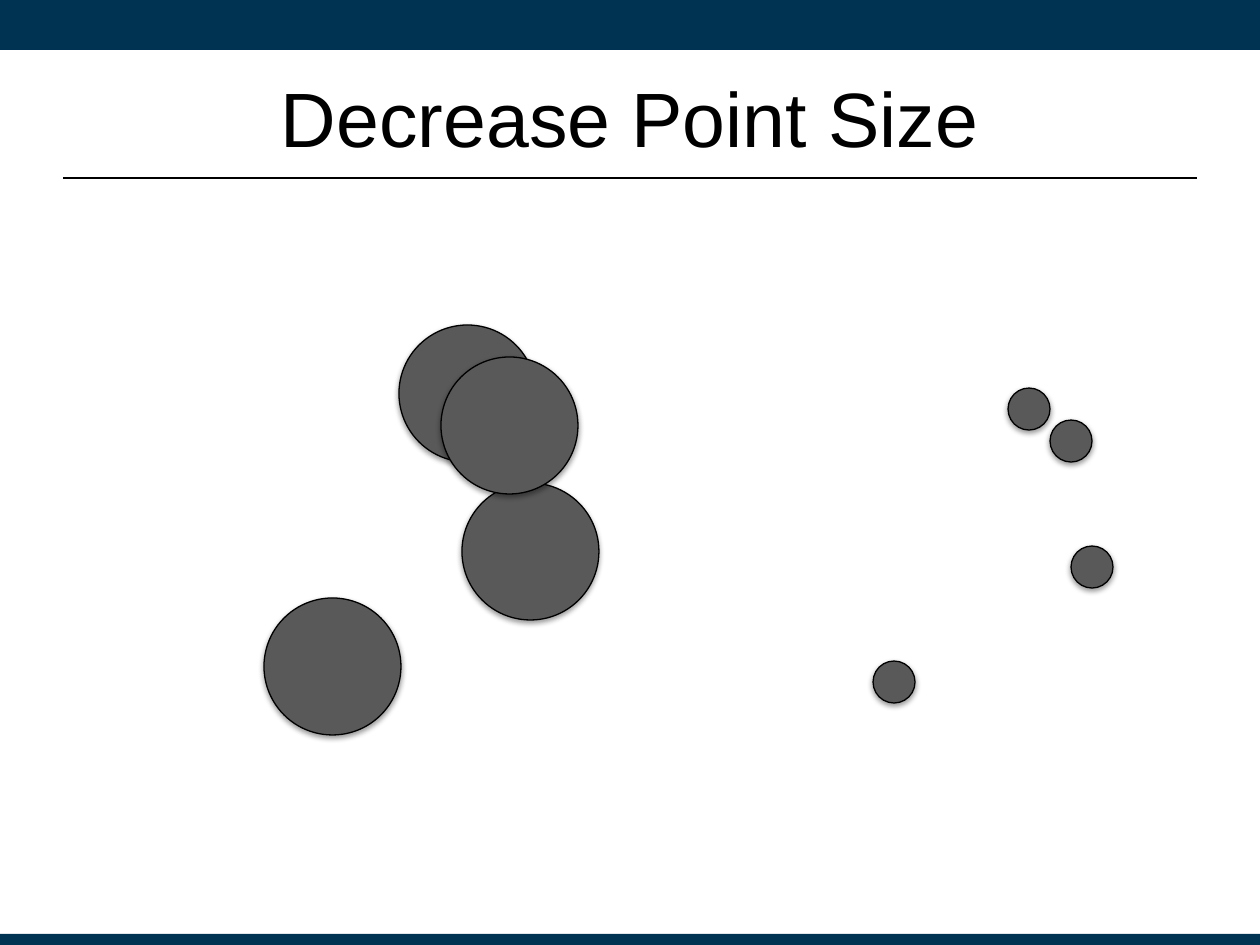
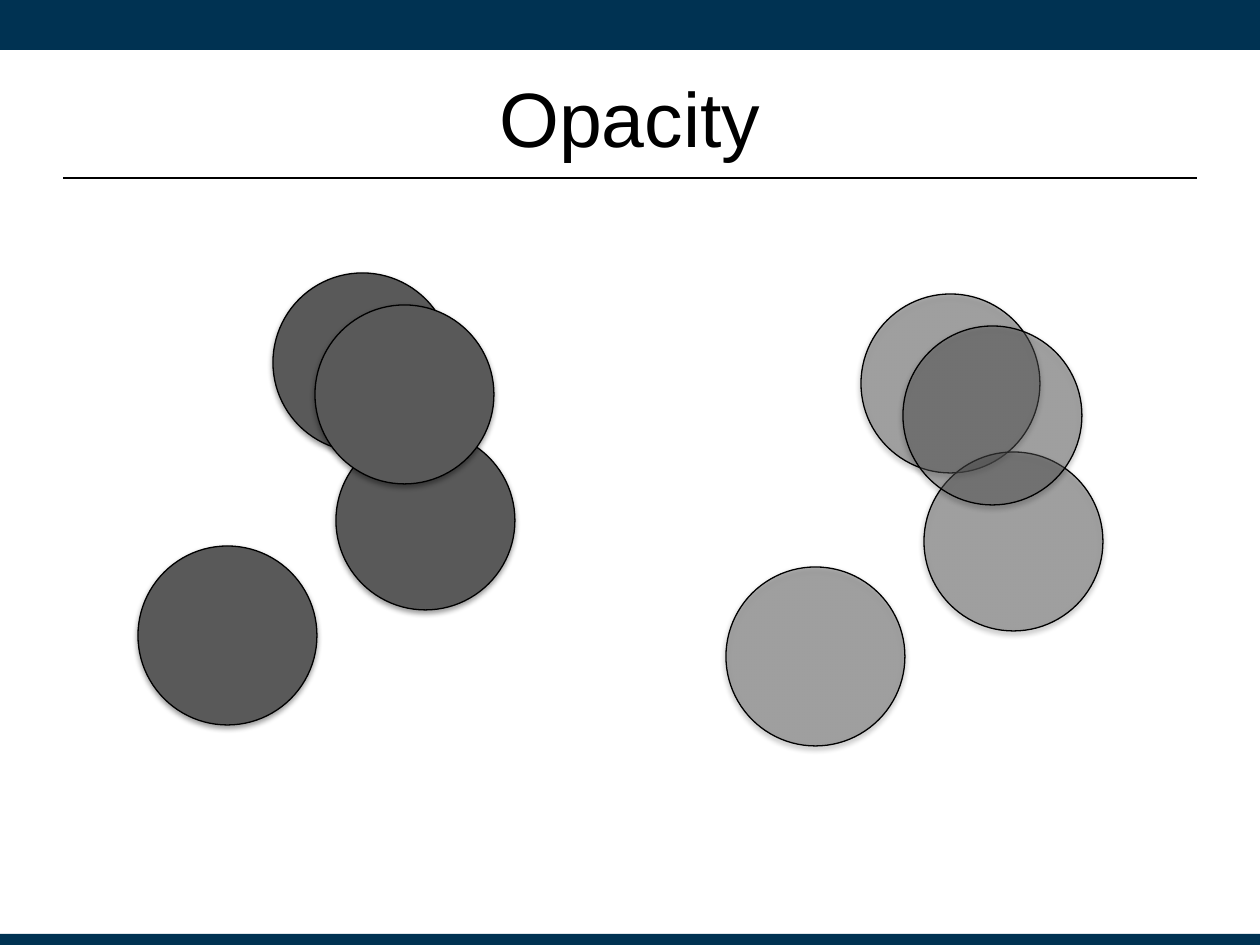
from dataclasses import dataclass
from typing import NamedTuple

from lxml import etree
from pptx import Presentation
from pptx import util as u
from pptx.dml.color import RGBColor
from pptx.enum import shapes, text
from pptx.oxml import ns

PX = 914400 / 126  # EMU in one px
SLIDE_W, SLIDE_H = 1260, 945
TITLE_ONLY = 5


@dataclass(frozen=True)
class Theme:
    band: RGBColor = RGBColor(0x00, 0x32, 0x52)
    point: RGBColor = RGBColor(0x59, 0x59, 0x59)
    ink: RGBColor = RGBColor(0x00, 0x00, 0x00)
    font: str = "Arial"
    title_size: int = 44
    outline: float = 0.75
    rule: float = 1.25
    shadow_opacity: int = 38
    shadow_blur: float = 3.1
    shadow_distance: float = 1.6


class Box(NamedTuple):
    left: int
    top: int
    width: int
    height: int


class Cluster(NamedTuple):
    left: int
    top: int
    diameter: int
    opacity: int = 100


class PointSlide(NamedTuple):
    title: str
    clusters: list[Cluster]


THEME = Theme()
BANDS = [Box(0, 0, SLIDE_W, 50), Box(0, 934, SLIDE_W, 11)]
TITLE = Box(63, 38, 1134, 157)
RULE_Y = 178
# Offsets of a cluster's points from its first point, back to front
POINT_OFFSETS = [(0, 0), (-135, 273), (63, 158), (42, 32)]

SLIDES = [
    PointSlide("Decrease Point Size", [Cluster(399, 325, 137), Cluster(1008, 388, 42)]),
    PointSlide("Opacity", [Cluster(861, 294, 179, opacity=43), Cluster(273, 273, 179)]),
]


def emu(px: int) -> u.Emu:
    return u.Emu(round(px * PX))


def add_filled(s, kind, box: Box, color: RGBColor):
    sp = s.shapes.add_shape(kind, *map(emu, box))
    sp.shadow.inherit = False
    sp.fill.solid()
    sp.fill.fore_color.rgb = color
    return sp


def add_alpha(color_element, percent: int) -> None:
    etree.SubElement(color_element, ns.qn("a:alpha"), val=str(percent * 1000))


def add_shadow(sp) -> None:
    """Drop a soft shadow straight down."""
    effects = sp.element.spPr.find(ns.qn("a:effectLst"))
    shadow = etree.SubElement(
        effects, ns.qn("a:outerShdw"),
        blurRad=str(u.Pt(THEME.shadow_blur)), dist=str(u.Pt(THEME.shadow_distance)),
        dir=str(90 * 60000), rotWithShape="0")
    color = etree.SubElement(shadow, ns.qn("a:srgbClr"), val=str(THEME.ink))
    add_alpha(color, THEME.shadow_opacity)


def add_cluster(s, cluster: Cluster) -> None:
    for dx, dy in POINT_OFFSETS:
        box = Box(cluster.left + dx, cluster.top + dy, cluster.diameter, cluster.diameter)
        sp = add_filled(s, shapes.MSO_SHAPE.OVAL, box, THEME.point)
        if cluster.opacity < 100:
            add_alpha(sp.element.spPr.find(".//" + ns.qn("a:srgbClr")), cluster.opacity)
        sp.line.color.rgb = THEME.ink
        sp.line.width = u.Pt(THEME.outline)
        add_shadow(sp)


def set_title(s, title: str) -> None:
    sp = s.shapes.title
    sp.left, sp.top, sp.width, sp.height = map(emu, TITLE)
    tf = sp.text_frame
    tf.text = title
    tf.vertical_anchor = text.MSO_ANCHOR.MIDDLE
    p = tf.paragraphs[0]
    p.alignment = text.PP_ALIGN.CENTER
    font = p.runs[0].font
    font.name, font.size = THEME.font, u.Pt(THEME.title_size)
    font.color.rgb = THEME.ink


def add_title_rule(s) -> None:
    line = s.shapes.add_connector(
        shapes.MSO_CONNECTOR.STRAIGHT, emu(TITLE.left), emu(RULE_Y),
        emu(TITLE.left + TITLE.width), emu(RULE_Y))
    line.line.color.rgb = THEME.ink
    line.line.width = u.Pt(THEME.rule)
    etree.SubElement(line.element.spPr, ns.qn("a:effectLst"))


def move_bands_to_master(prs, s) -> None:
    """Draw the bands on a slide, then move them behind the master's placeholders."""
    tree = prs.slide_master.shapes.element
    for i, box in enumerate(BANDS):
        sp = add_filled(s, shapes.MSO_SHAPE.RECTANGLE, box, THEME.band)
        sp.line.fill.background()
        sp.element.nvSpPr.cNvPr.set("id", str(100 + i))
        tree.insert(2 + i, sp.element)


def main() -> None:
    prs = Presentation()
    prs.slide_width, prs.slide_height = emu(SLIDE_W), emu(SLIDE_H)
    for i, content in enumerate(SLIDES):
        s = prs.slides.add_slide(prs.slide_layouts[TITLE_ONLY])
        if i == 0:
            move_bands_to_master(prs, s)
        set_title(s, content.title)
        for cluster in content.clusters:
            add_cluster(s, cluster)
        add_title_rule(s)
    prs.save("out.pptx")


if __name__ == "__main__":
    main()
